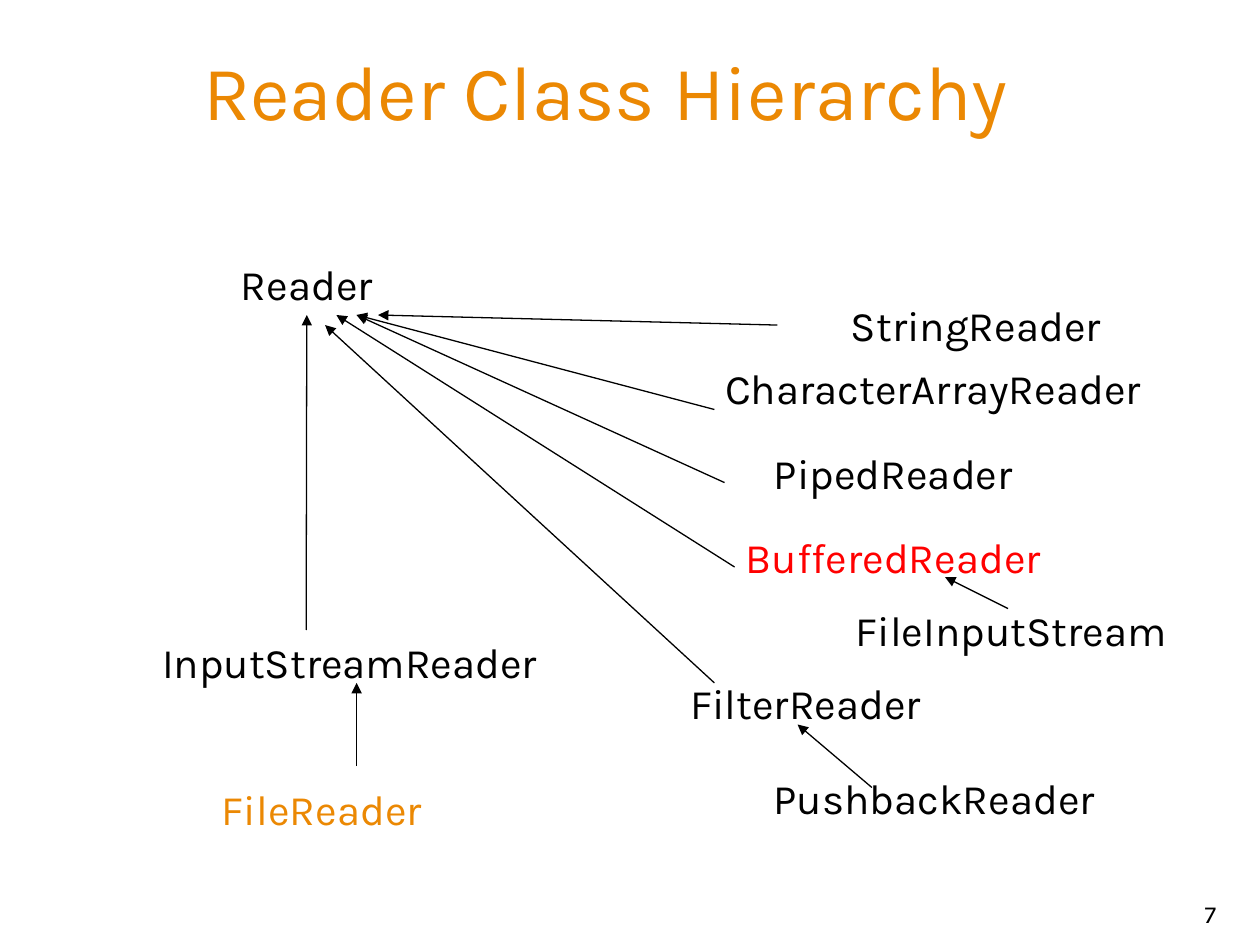
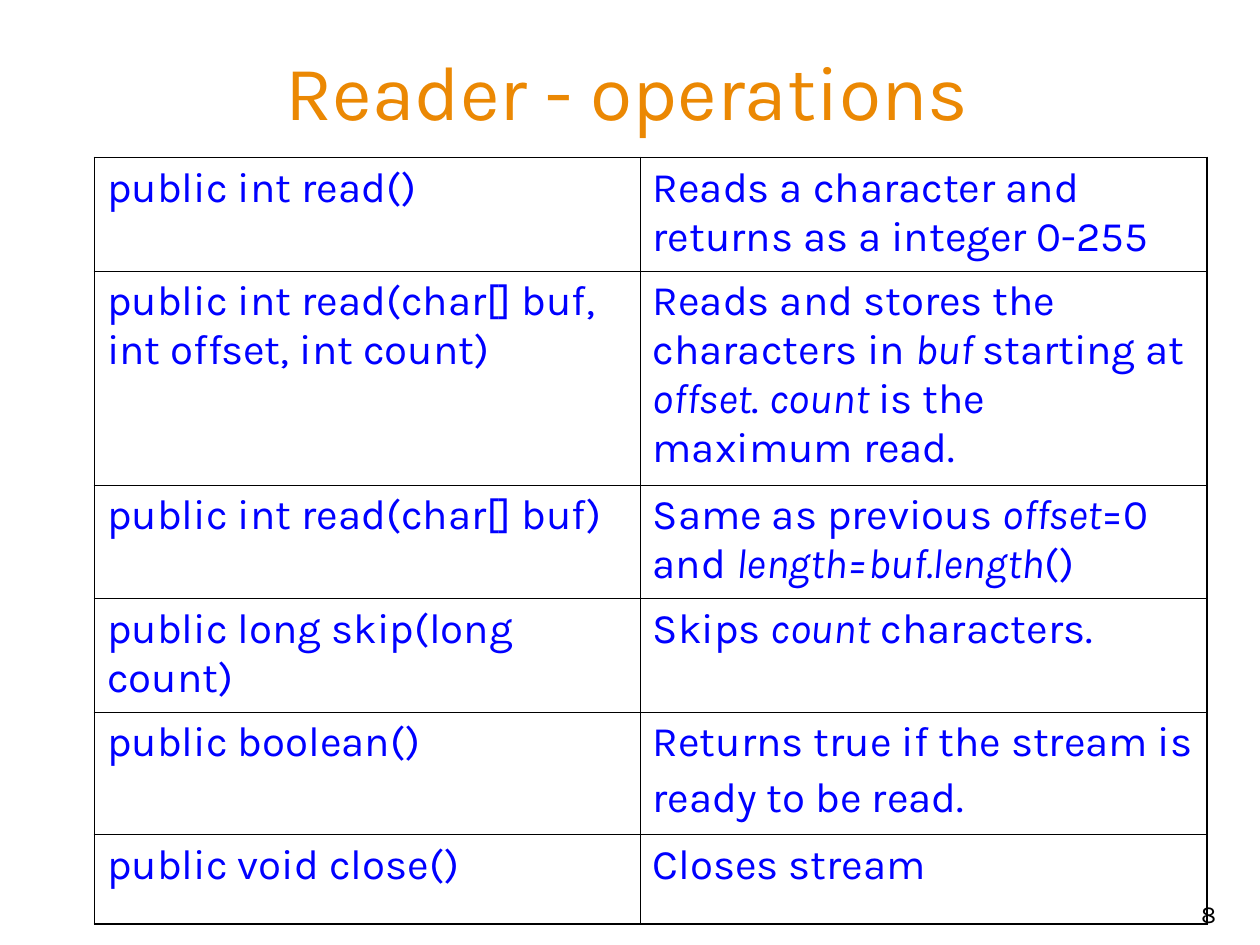
from pptx import Presentation
from pptx.dml.color import RGBColor
from pptx.enum.shapes import MSO_CONNECTOR
from pptx.enum.text import MSO_ANCHOR, MSO_AUTO_SIZE, PP_ALIGN
from pptx.oxml.ns import qn
from pptx.util import Inches, Pt
from lxml.etree import SubElement

# Shared look
COLORS = {"title": "EB8803", "text": "000000", "paper": "FFFFFF",
          "key": "FF0000", "code": "0000FF"}
FONT = "Karla"
SIZE = 24

# Slide 1: class name, left, top, width, colour, wraps
CLASSES = [
    ("Reader", 1.78, 2, 1.31, "text", False),
    ("StringReader", 6.62, 2.33, 2.25, "text", False),
    ("CharacterArrayReader", 5.56, 2.83, 3.69, "text", False),
    ("PipedReader", 5.99, 3.5, 2.2, "text", False),
    ("BufferedReader", 5.75, 4.17, 2.68, "key", False),
    ("FileInputStream", 6.67, 4.75, 2.71, "text", False),
    ("InputStreamReader", 1.13, 5, 3.29, "text", False),
    ("FilterReader", 4.63, 5.33, 3.53, "text", True),
    ("FileReader", 1.17, 6.17, 2.77, "title", True),
    ("PushbackReader", 5.75, 6.08, 3.33, "text", True),
]
# Arrows: from, to, class whose bottom middle is joined
ARROWS = [
    ((6.17, 2.58), (3, 2.5), None),
    ((5.67, 3.25), (2.83, 2.5), None),
    ((5.75, 3.83), (2.83, 2.5), None),
    ((5.83, 4.5), (2.67, 2.5), None),
    ((2.43, 5), (2.43, 2.5), "Reader"),
    ((2.83, 6.08), (2.83, 5.42), None),
    ((5.67, 5.42), (2.58, 2.58), None),
    ((6.92, 6.25), (6.33, 5.75), None),
    ((8, 4.83), (7.5, 4.58), None),
]

# Slide 2: row height, method, then its meaning with every second part italic
METHODS = [
    (0.9, "public int read()",
     ["Reads a character and returns as a integer 0-255"]),
    (1.7, "public int read(char[] buf, int offset, int count)",
     ["Reads and stores the characters in ", "buf ", "starting at ",
      "offset", ". ", "count ", "is the maximum read."]),
    (0.9, "public int read(char[] buf)",
     ["Same as previous ", "offset", "=0 and ", "length=buf.length", "()"]),
    (0.9, "public long skip(long count)",
     ["Skips ", "count", " characters."]),
    (0.97, "public boolean()",
     ["Returns true if the stream is ready to be read."]),
    (0.71, "public void close()", ["Closes stream"]),
]
TALL = 4  # row whose last line is set taller
WIDTHS = [4.33, 4.5]
THICK, THIN = 1.08, 0.45


def color(name):
    return RGBColor.from_string(COLORS[name])


def add_run(para, text, size=SIZE, hue="text", italic=False):
    run = para.add_run()
    run.text = text
    run.font.name = FONT
    run.font.size = Pt(size)
    run.font.italic = italic
    run.font.color.rgb = color(hue)


def add_text(slide, text, box, size=SIZE, hue="text", align=PP_ALIGN.CENTER,
             wrap=True, anchor=MSO_ANCHOR.TOP):
    shape = slide.shapes.add_textbox(*map(Inches, box))
    frame = shape.text_frame
    frame.word_wrap = wrap
    frame.vertical_anchor = anchor
    para = frame.paragraphs[0]
    para.alignment = align
    add_run(para, text, size, hue)
    return shape


def add_slide(deck, title, left, number):
    slide = deck.slides.add_slide(deck.slide_layouts[5])
    # Page number
    add_text(slide, str(number), (7.67, 6.92, 2.08, 0.5), 14,
             align=PP_ALIGN.RIGHT, anchor=MSO_ANCHOR.BOTTOM)
    # Title
    head = slide.shapes.title
    head.left, head.top, head.width, head.height = map(
        Inches, (left, 0.17, 9.62, 1.08))
    head.fill.solid()
    head.fill.fore_color.rgb = color("paper")
    frame = head.text_frame
    frame.auto_size = MSO_AUTO_SIZE.NONE
    frame.vertical_anchor = MSO_ANCHOR.MIDDLE
    para = frame.paragraphs[0]
    para.alignment = PP_ALIGN.CENTER
    add_run(para, title, 44, "title")
    return slide


def add_arrow(slide, start, end, target):
    line = slide.shapes.add_connector(
        MSO_CONNECTOR.STRAIGHT, *map(Inches, start + end))
    if target is not None:
        line.end_connect(target, 2)
    line.line.color.rgb = color("text")
    line.line.width = Pt(0.75)
    SubElement(line.line._get_or_add_ln(), qn("a:tailEnd"), type="triangle")
    SubElement(line._element.spPr, qn("a:effectLst"))


def add_border(cell, widths):
    props = cell._tc.get_or_add_tcPr()
    for side, width in zip("LRTB", widths):
        line = SubElement(props, qn(f"a:ln{side}"), w=str(int(Pt(width))))
        fill = SubElement(line, qn("a:solidFill"))
        SubElement(fill, qn("a:srgbClr"), val=COLORS["text"])


def draw_tree(deck):
    slide = add_slide(deck, "Reader Class Hierarchy", 0, 7)
    boxes = {}
    for name, left, top, width, hue, wrap in CLASSES:
        boxes[name] = add_text(slide, name, (left, top, width, 0.5),
                               hue=hue, wrap=wrap)
    for start, end, target in ARROWS:
        add_arrow(slide, start, end, boxes.get(target))


def draw_table(deck):
    slide = add_slide(deck, "Reader - operations", 0.17, 8)
    count = len(METHODS)
    total = sum(row[0] for row in METHODS)
    table = slide.shapes.add_table(
        count, 2, Inches(0.75), Inches(1.25),
        Inches(sum(WIDTHS)), Inches(total)).table
    table.first_row = table.horz_banding = False
    for col, width in zip(table.columns, WIDTHS):
        col.width = Inches(width)
    for r, (height, method, parts) in enumerate(METHODS):
        table.rows[r].height = Inches(height)
        for c, texts in enumerate(([method], parts)):
            cell = table.cell(r, c)
            # Outer edges are thick, inner ones thin
            outer = (c == 0, c == 1, r == 0, r == count - 1)
            add_border(cell, [THICK if edge else THIN for edge in outer])
            cell.fill.background()
            para = cell.text_frame.paragraphs[0]
            para.space_before = Pt(6)
            for i, text in enumerate(texts):
                add_run(para, text, hue="code", italic=i % 2 == 1)
            if (r, c) == (TALL, 1):
                para.space_before = Pt(7)
                add_run(para, " ", 28, "code")


def main():
    deck = Presentation()
    deck.slide_width, deck.slide_height = Inches(10), Inches(7.5)
    draw_tree(deck)
    draw_table(deck)
    deck.save("out.pptx")


if __name__ == "__main__":
    main()
